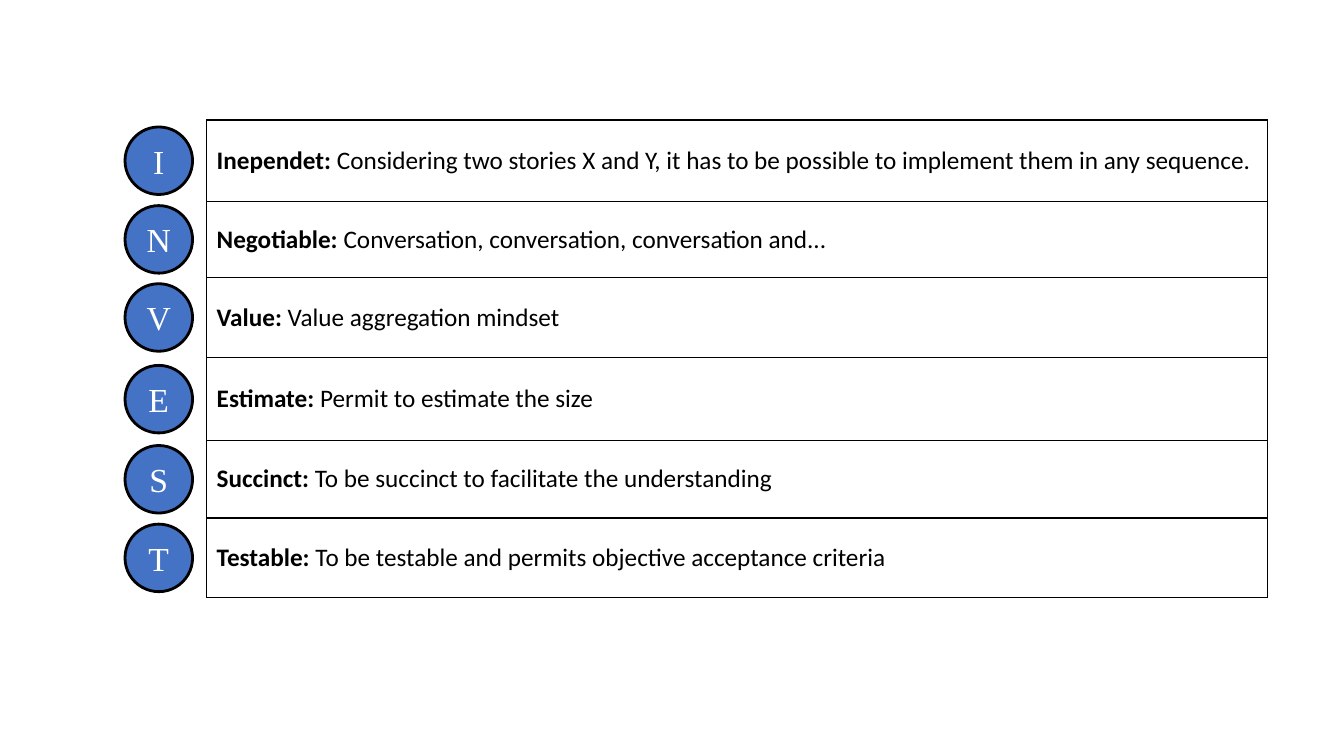
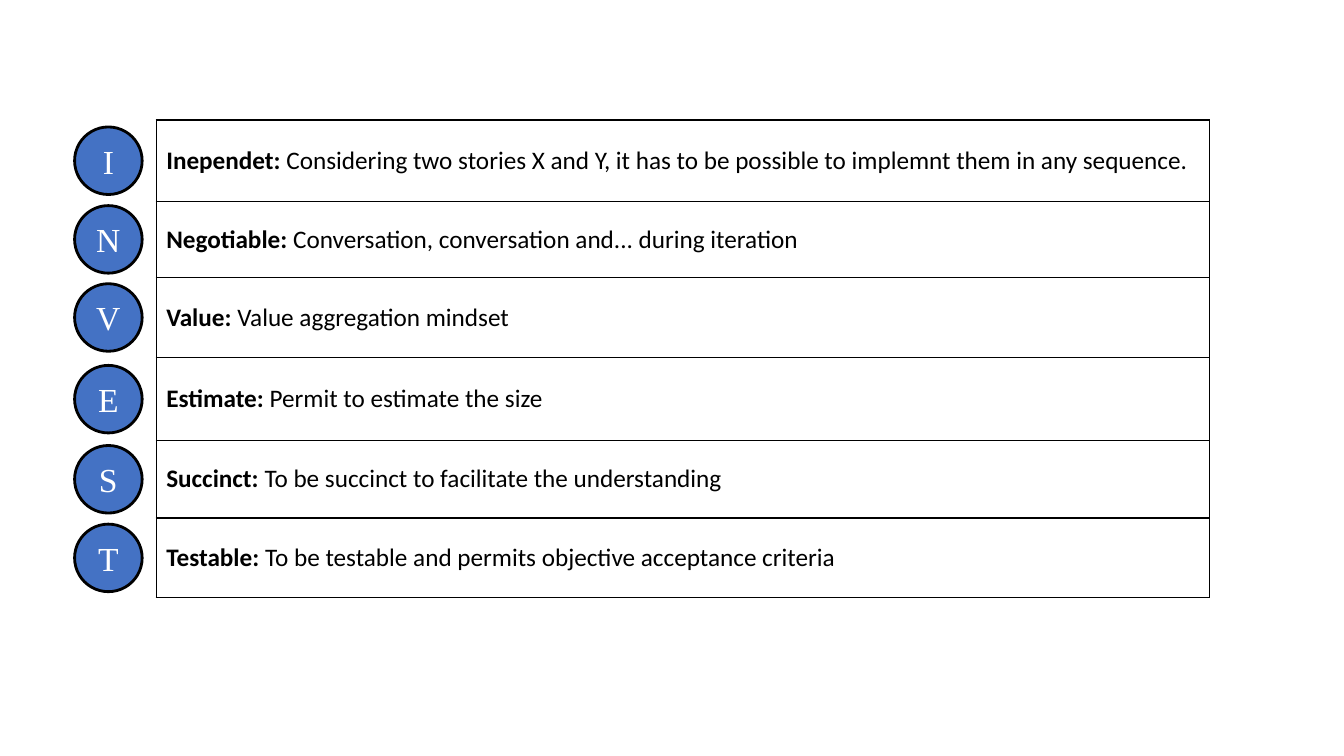
from dataclasses import dataclass
from itertools import accumulate

from lxml.etree import SubElement
from pptx import Presentation
from pptx.dml.color import RGBColor as RGB
from pptx.enum.shapes import MSO_SHAPE as SHAPE
from pptx.enum.text import MSO_ANCHOR as ANCHOR, PP_ALIGN as ALIGN
from pptx.oxml.ns import qn
from pptx.util import Inches, Pt

# Content: (keyword, explanation); each badge shows the keyword's initial
COMMON = [
    ("Value", "Value aggregation mindset"),
    ("Estimate", "Permit to estimate the size"),
    ("Succinct", "To be succinct to facilitate the understanding"),
    ("Testable", "To be testable and permits objective acceptance criteria"),
]
SLIDES = [
    {"left": 1.08, "text_col": 10.52, "filled": True, "rows": [
        ("Inependet", "Considering two stories X and Y, it has to be possible "
                      "to implement them in any sequence."),
        ("Negotiable", "Conversation, conversation, conversation and..."),
        *COMMON]},
    {"left": 0.58, "text_col": 10.45, "filled": False, "rows": [
        ("Inependet", "Considering two stories X and Y, it has to be possible "
                      "to implemnt them in any sequence."),
        ("Negotiable", "Conversation, conversation and... during iteration"),
        *COMMON]},
]

# Layout grid, in inches
TOP = 1.19
BADGE_COL = 0.97
ROWS = [0.81, 0.75, 0.8, 0.82, 0.77, 0.79]
BADGE = 0.67
BADGE_INDENT = 0.16
PLAIN_TABLE = "{2D5ABB26-0587-4C30-8999-92F81FD0307C}"


@dataclass(frozen=True)
class Theme:
    ink: RGB = RGB(0, 0, 0)
    paper: RGB = RGB(255, 255, 255)
    accent: RGB = RGB(0x44, 0x72, 0xC4)
    body_font: str = "Calibri"
    badge_font: str = "Times New Roman"
    body_size: int = 18
    badge_size: int = 24
    border: int = 1
    outline: int = 2


THEME = Theme()


def style(r, font, size, color, bold=False):
    r.font.name, r.font.size, r.font.bold = font, Pt(size), bold
    r.font.color.rgb = color


def set_borders(cell, sides):
    tc_pr = cell._tc.get_or_add_tcPr()
    for side in sides:
        ln = SubElement(tc_pr, qn(f"a:ln{side}"), w=str(Pt(THEME.border)))
        fill = SubElement(ln, qn("a:solidFill"))
        SubElement(fill, qn("a:srgbClr"), val=str(THEME.ink))


def add_criteria(slide, left, text_col, filled, rows):
    frame = slide.shapes.add_table(
        len(rows), 2, Inches(left), Inches(TOP),
        Inches(BADGE_COL + text_col), Inches(sum(ROWS)))
    table = frame.table
    table.first_row = table.horz_banding = False
    table._tbl.tblPr.find(qn("a:tableStyleId")).text = PLAIN_TABLE
    for col, width in zip(table.columns, (BADGE_COL, text_col)):
        col.width = Inches(width)

    for i, (keyword, explanation) in enumerate(rows):
        table.rows[i].height = Inches(ROWS[i])
        spacer, cell = table.cell(i, 0), table.cell(i, 1)
        set_borders(spacer, "R")
        set_borders(cell, "LRTB")
        spacer.fill.background()
        if filled:
            cell.fill.solid()
            cell.fill.fore_color.rgb = THEME.paper
        else:
            cell.fill.background()
        cell.vertical_anchor = ANCHOR.MIDDLE
        p = cell.text_frame.paragraphs[0]
        for text, bold in ((f"{keyword}: ", True), (explanation, False)):
            r = p.add_run()
            r.text = text
            style(r, THEME.body_font, THEME.body_size, THEME.ink, bold)


def add_badge(slide, letter, left, top):
    sp = slide.shapes.add_shape(
        SHAPE.FLOWCHART_CONNECTOR, Inches(left), Inches(top),
        Inches(BADGE), Inches(BADGE))
    sp.shadow.inherit = False
    sp.fill.solid()
    sp.fill.fore_color.rgb = THEME.accent
    sp.line.color.rgb = THEME.ink
    sp.line.width = Pt(THEME.outline)
    tf = sp.text_frame
    tf.text = letter
    tf.vertical_anchor = ANCHOR.MIDDLE
    p = tf.paragraphs[0]
    p.alignment = ALIGN.CENTER
    style(p.runs[0], THEME.badge_font, THEME.badge_size, THEME.paper)


def main():
    prs = Presentation()
    prs.slide_width, prs.slide_height = Inches(13.33), Inches(7.5)
    row_tops = accumulate(ROWS[:-1], initial=TOP)
    # Badges sit centred on their rows
    badge_tops = [top + (h - BADGE) / 2 for top, h in zip(row_tops, ROWS)]
    for content in SLIDES:
        slide = prs.slides.add_slide(prs.slide_layouts[6])
        add_criteria(slide, **content)
        for (keyword, _), top in zip(content["rows"], badge_tops):
            add_badge(slide, keyword[0], content["left"] + BADGE_INDENT, top)
    prs.save("out.pptx")


if __name__ == "__main__":
    main()
